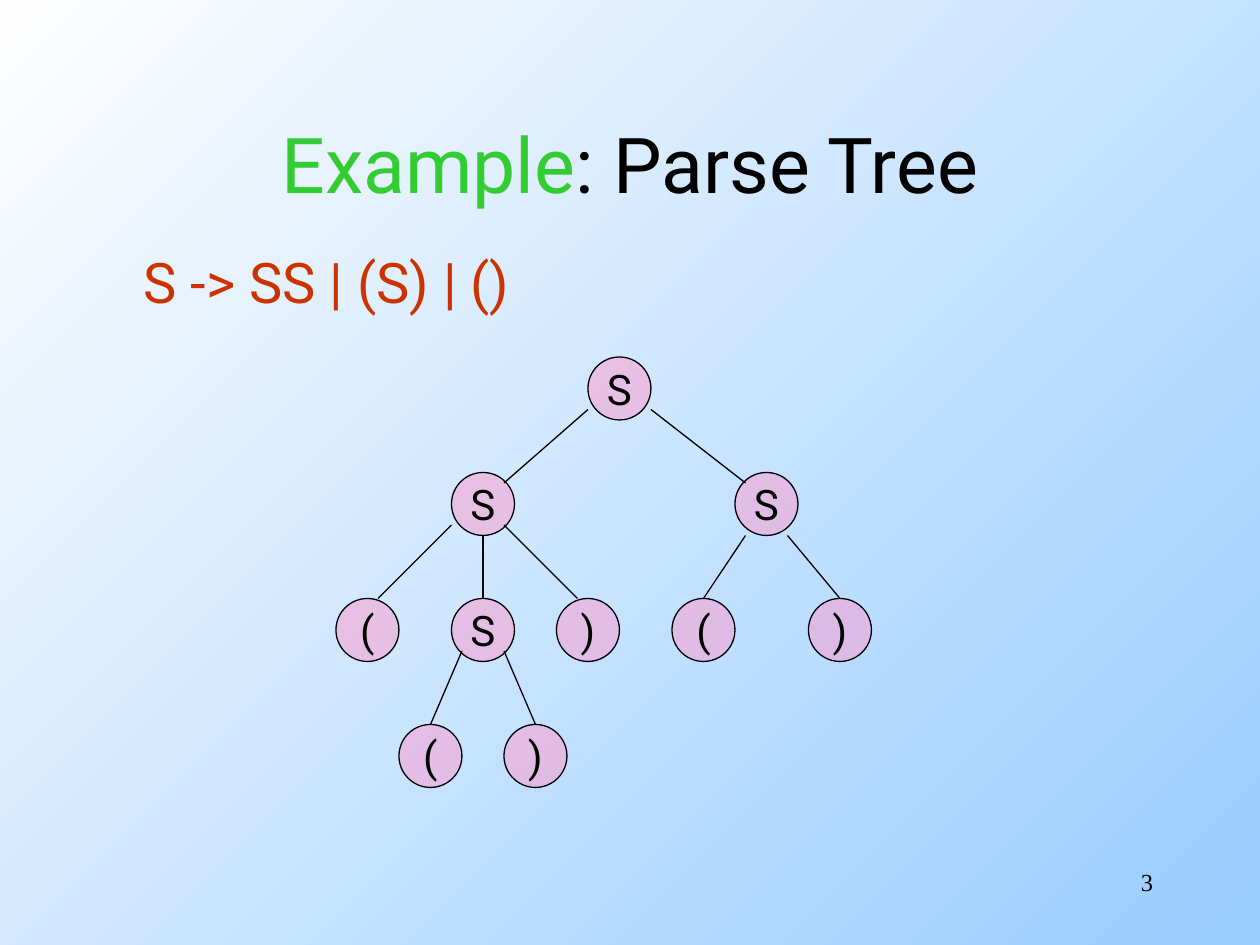
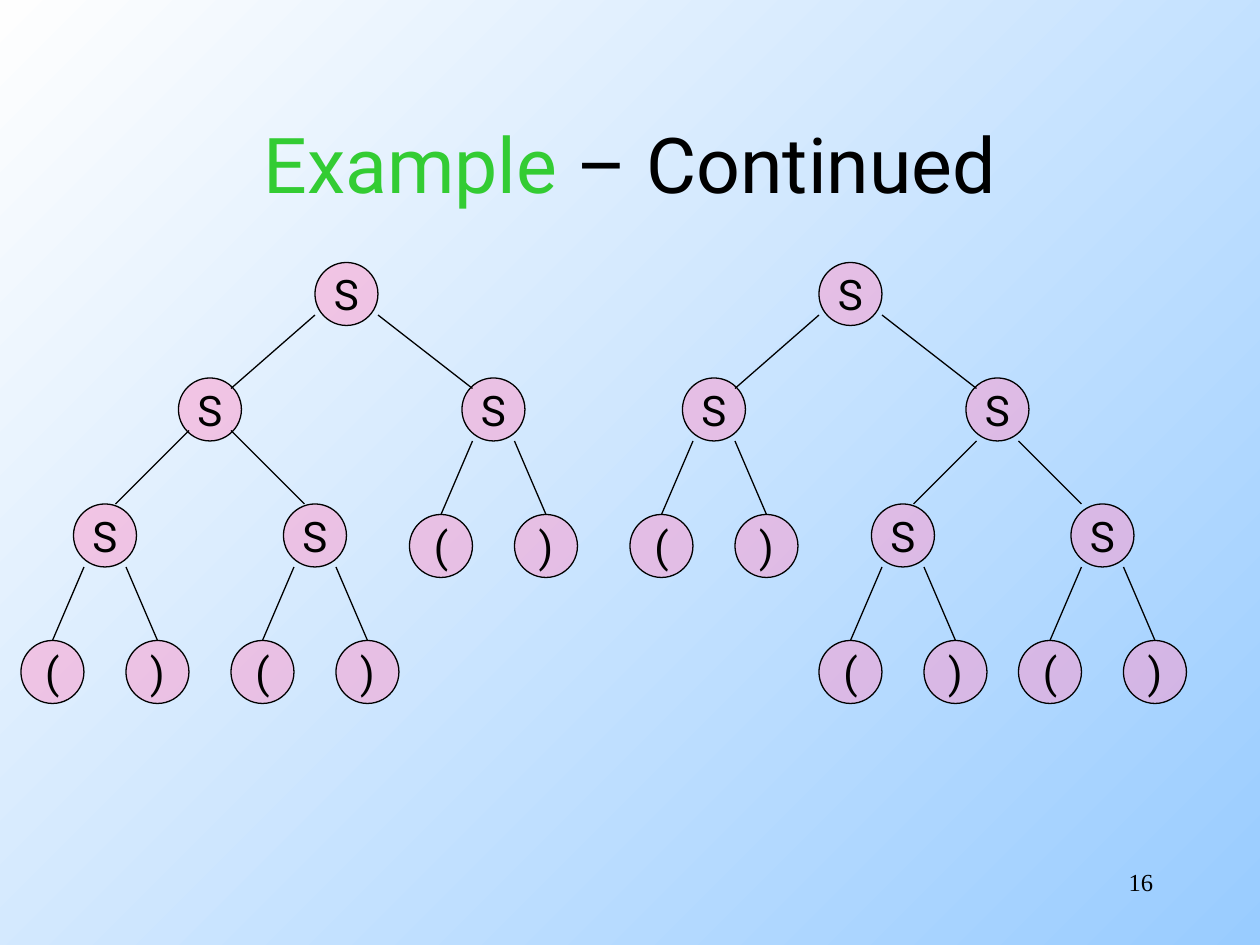
from dataclasses import dataclass

from lxml import etree
from pptx import Presentation
from pptx.dml.color import RGBColor
from pptx.enum import shapes, text
from pptx.oxml import ns
from pptx.util import Pt

COLOURS = {
    "sky": "99CCFF",
    "white": "FEFEFE",
    "accent": "33CC33",
    "ink": "000000",
    "grammar": "CC3300",
    "node": "FF99CC",
}
SANS = "Roboto"
SERIF = "Times New Roman"
NODE_SIZE = 36
NODE_OPACITY = 50
LINE_WIDTH = 0.75

Point = tuple[float, float]


@dataclass(frozen=True)
class Node:
    symbol: str
    branches: tuple["Branch", ...] = ()


@dataclass(frozen=True)
class Branch:
    child: Node
    shift: Point
    leave: Point
    enter: Point


@dataclass(frozen=True)
class Tree:
    root: Node
    left: float
    top: float


@dataclass(frozen=True)
class TreeSlide:
    title_end: str
    number: str
    trees: tuple[Tree, ...]
    grammar: str = ""


def brackets(left: float = 30, right: float = 30, drop: float = 78, leave: float = 36) -> Node:
    return Node("S", (
        Branch(Node("("), (-left, drop), (6, leave), (18, 0)),
        Branch(Node(")"), (right, drop), (30, leave), (18, 0)),
    ))


def root(left: Node, right: Node) -> Node:
    return Node("S", (
        Branch(left, (-78, 66), (0, 30), (30, 6)),
        Branch(right, (84, 66), (36, 30), (6, 6)),
    ))


def double(left: float, right: float, leave: float, enter: float) -> Node:
    return Node("S", (
        Branch(brackets(), (-left, 72), (6, leave), (24, 0)),
        Branch(brackets(), (right, 72), (30, leave), (enter, 0)),
    ))


def nested() -> Node:
    return Node("S", (
        Branch(Node("("), (-66, 72), (0, 30), (24, 0)),
        Branch(brackets(drop=72, leave=30), (0, 72), (18, 36), (18, 0)),
        Branch(Node(")"), (60, 72), (30, 30), (12, 0)),
    ))


SLIDES = (
    TreeSlide(
        ": Parse Tree", "3",
        (Tree(root(nested(), brackets(36, 42, 72)), 336, 204),),
        "S -> SS | (S) | ()",
    ),
    TreeSlide(
        " – Continued", "16",
        (
            Tree(root(double(60, 60, 30, 12), brackets()), 180, 150),
            Tree(root(brackets(), double(54, 60, 36, 6)), 468, 150),
        ),
    ),
)


def colour(name: str) -> RGBColor:
    return RGBColor.from_string(COLOURS[name])


def style(span, size: float, name: str, family: str = SANS) -> None:
    span.font.size = Pt(size)
    span.font.name = family
    span.font.color.rgb = colour(name)


def paint_background(deck) -> None:
    fill = deck.slide_master.background.fill
    fill.gradient()
    fill.gradient_angle = 135
    for stop, name in zip(fill.gradient_stops, ("sky", "white")):
        stop.color.rgb = colour(name)


def set_title(page, ending: str) -> None:
    title = page.shapes.title
    title.left, title.top, title.width, title.height = Pt(54), Pt(48), Pt(612), Pt(90)
    frame = title.text_frame
    frame.auto_size = text.MSO_AUTO_SIZE.NONE
    frame.vertical_anchor = text.MSO_ANCHOR.MIDDLE
    frame.text = "Example"
    para = frame.paragraphs[0]
    para.alignment = text.PP_ALIGN.CENTER
    para.add_run().text = ending
    for span, name in zip(para.runs, ("accent", "ink")):
        style(span, 44, name)


def add_grammar(page, rule: str) -> None:
    box = page.shapes.add_textbox(Pt(75), Pt(138), Pt(237), Pt(46))
    frame = box.text_frame
    frame.word_wrap = False
    frame.auto_size = text.MSO_AUTO_SIZE.SHAPE_TO_FIT_TEXT
    frame.text = rule
    para = frame.paragraphs[0]
    para.space_before = Pt(8)
    style(para.runs[0], 32, "grammar")


def add_number(page, number: str) -> None:
    box = page.shapes.add_textbox(Pt(516), Pt(492), Pt(150), Pt(36))
    frame = box.text_frame
    frame.word_wrap = True
    frame.text = number
    para = frame.paragraphs[0]
    para.alignment = text.PP_ALIGN.RIGHT
    style(para.runs[0], 14, "ink", SERIF)


def add_circle(page, symbol: str, left: float, top: float) -> None:
    circle = page.shapes.add_shape(
        shapes.MSO_SHAPE.OVAL, Pt(left), Pt(top), Pt(NODE_SIZE), Pt(NODE_SIZE)
    )
    circle.shadow.inherit = False
    circle.fill.solid()
    circle.fill.fore_color.rgb = colour("node")
    tint = circle.fill._xPr.find(".//" + ns.qn("a:srgbClr"))
    etree.SubElement(tint, ns.qn("a:alpha")).set("val", str(NODE_OPACITY * 1000))
    circle.line.color.rgb = colour("ink")
    circle.line.width = Pt(LINE_WIDTH)
    frame = circle.text_frame
    frame.word_wrap = False
    frame.vertical_anchor = text.MSO_ANCHOR.MIDDLE
    frame.text = symbol
    para = frame.paragraphs[0]
    para.alignment = text.PP_ALIGN.CENTER
    style(para.runs[0], 24, "ink")


def add_edge(page, start: Point, end: Point) -> None:
    edge = page.shapes.add_connector(
        shapes.MSO_CONNECTOR.STRAIGHT, *(Pt(value) for value in start + end)
    )
    edge.line.color.rgb = colour("ink")
    edge.line.width = Pt(LINE_WIDTH)
    etree.SubElement(edge._element.spPr, ns.qn("a:effectLst"))


def draw_node(page, node: Node, left: float, top: float) -> None:
    add_circle(page, node.symbol, left, top)
    for branch in node.branches:
        child_left, child_top = left + branch.shift[0], top + branch.shift[1]
        draw_node(page, branch.child, child_left, child_top)
        add_edge(
            page,
            (left + branch.leave[0], top + branch.leave[1]),
            (child_left + branch.enter[0], child_top + branch.enter[1]),
        )


def build_slide(deck, content: TreeSlide) -> None:
    page = deck.slides.add_slide(deck.slide_layouts.get_by_name("Title Only"))
    set_title(page, content.title_end)
    if content.grammar:
        add_grammar(page, content.grammar)
    for tree in content.trees:
        draw_node(page, tree.root, tree.left, tree.top)
    add_number(page, content.number)


def main() -> None:
    deck = Presentation()
    deck.slide_width, deck.slide_height = Pt(720), Pt(540)
    paint_background(deck)
    for content in SLIDES:
        build_slide(deck, content)
    deck.save("out.pptx")


if __name__ == "__main__":
    main()
